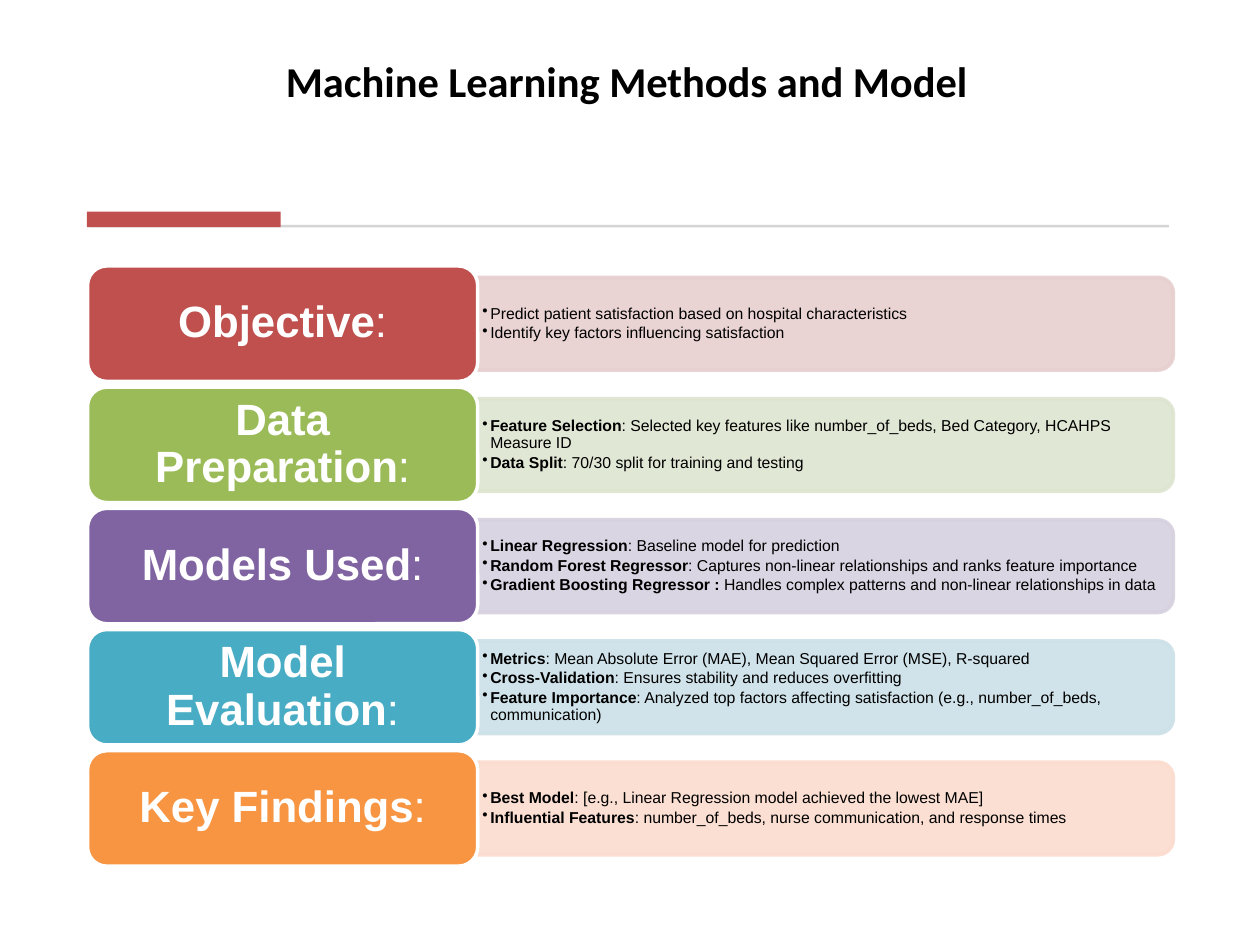
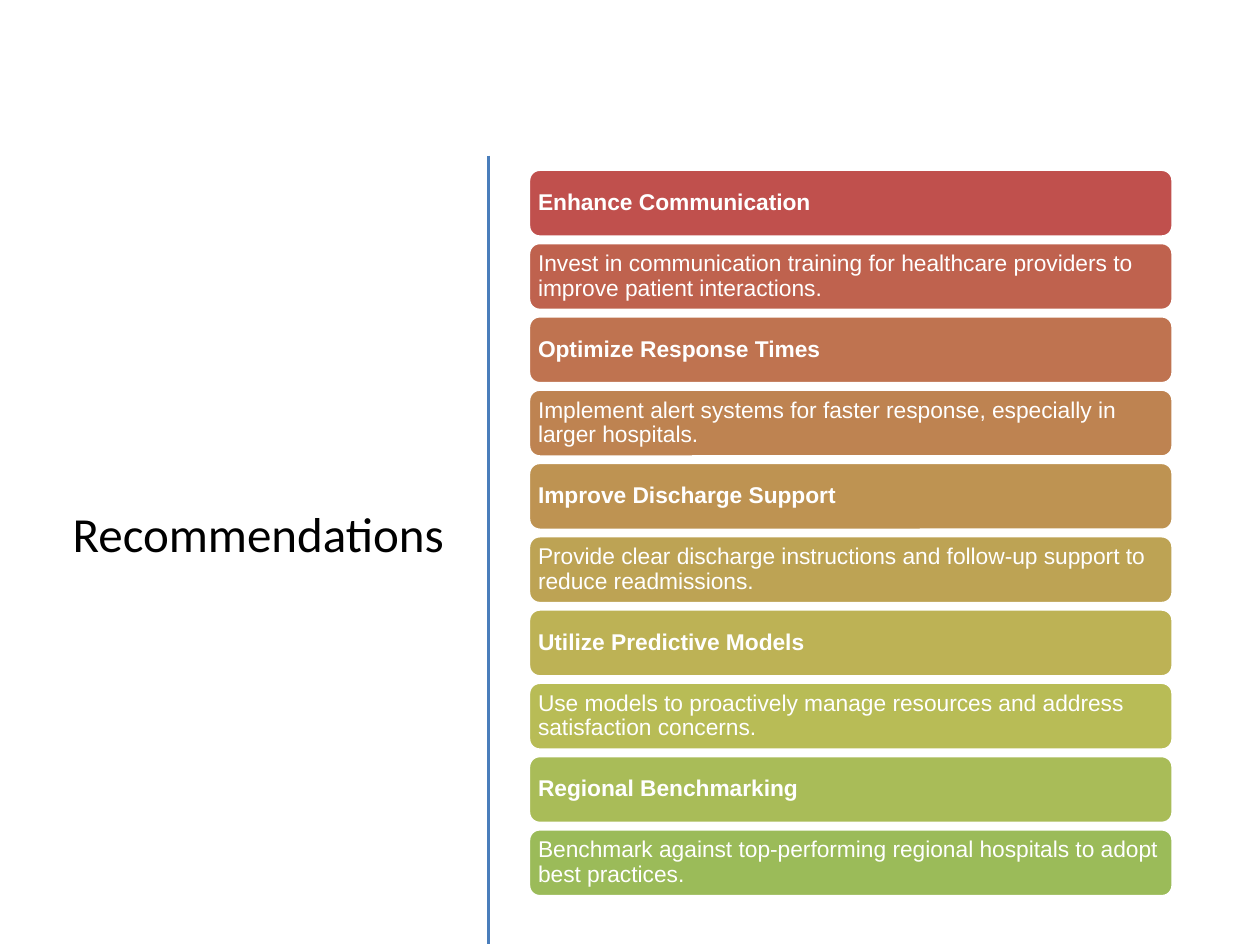
from pptx import Presentation
from pptx.dml.color import RGBColor
from pptx.enum.shapes import MSO_CONNECTOR, MSO_SHAPE
from pptx.enum.text import MSO_ANCHOR, PP_ALIGN
from pptx.oxml.ns import qn
from pptx.oxml.xmlchemy import OxmlElement
from pptx.util import Pt

BLACK, WHITE, RED = "000000", "FFFFFF", "C0504D"
RULE_GREY, DIVIDER_BLUE = "D5D5D5", "4A7EBB"
TITLE_FONT, BODY_FONT = "Calibri", "Arial"
TIGHT = 0.9
LINE_WIDTH = 2

# Label, tile colour, panel colour, points as (bold part, plain part)
METHODS = [
    ("Objective", "BF504D", "E7CFCF", [
        ("", "Predict patient satisfaction based on hospital characteristics"),
        ("", "Identify key factors influencing satisfaction"),
    ]),
    ("Data Preparation", "9BBB59", "DDE5D0", [
        ("Feature Selection", ": Selected key features like number_of_beds, Bed Category, HCAHPS Measure ID"),
        ("Data Split", ": 70/30 split for training and testing"),
    ]),
    ("Models Used", "8064A2", "D7D1DF", [
        ("Linear Regression", ": Baseline model for prediction"),
        ("Random Forest Regressor", ": Captures non-linear relationships and ranks feature importance"),
        ("Gradient Boosting Regressor : ", "Handles complex patterns and non-linear relationships in data"),
    ]),
    ("Model Evaluation", "49ACC5", "CDE1E8", [
        ("Metrics", ": Mean Absolute Error (MAE), Mean Squared Error (MSE), R-squared"),
        ("Cross-Validation", ": Ensures stability and reduces overfitting"),
        ("Feature Importance", ": Analyzed top factors affecting satisfaction (e.g., number_of_beds, communication)"),
    ]),
    ("Key Findings", "F79543", "FBDCCE", [
        ("Best Model", ": [e.g., Linear Regression model achieved the lowest MAE]"),
        ("Influential Features", ": number_of_beds, nurse communication, and response times"),
    ]),
]

# Heading, heading colour, advice, advice colour
RECOMMENDATIONS = [
    ("Enhance Communication", RED,
     "Invest in communication training for healthcare providers to improve patient interactions.", "BF624E"),
    ("Optimize Response Times", "BF7350",
     "Implement alert systems for faster response, especially in larger hospitals.", "BE8351"),
    ("Improve Discharge Support", "BE9352",
     "Provide clear discharge instructions and follow-up support to reduce readmissions.", "BDA354"),
    ("Utilize Predictive Models", "BDB255",
     "Use models to proactively manage resources and address satisfaction concerns.", "B8BC56"),
    ("Regional Benchmarking", "A9BC58",
     "Benchmark against top-performing regional hospitals to adopt best practices.", "9BBB59"),
]


def color(hex_string):
    return RGBColor.from_string(hex_string)


def add_run(paragraph, text, size, hex_string, bold=False, font=BODY_FONT):
    run = paragraph.add_run()
    run.text = text
    run.font.name = font
    run.font.size = Pt(size)
    run.font.bold = bold
    run.font.color.rgb = color(hex_string)


def set_frame(shape, horizontal, vertical):
    """Wrap and middle-anchor the text, with insets in points."""
    frame = shape.text_frame
    frame.word_wrap = True
    frame.vertical_anchor = MSO_ANCHOR.MIDDLE
    frame.margin_left = frame.margin_right = Pt(horizontal)
    frame.margin_top = frame.margin_bottom = Pt(vertical)
    return frame


def add_box(slide, kind, left, top, width, height, fill, line=None):
    shape = slide.shapes.add_shape(kind, Pt(left), Pt(top), Pt(width), Pt(height))
    shape.shadow.inherit = False
    shape.fill.solid()
    shape.fill.fore_color.rgb = color(fill)
    if line:
        shape.line.color.rgb = color(line)
        shape.line.width = Pt(LINE_WIDTH)
    else:
        shape.line.fill.background()
    return shape


def add_title(slide, text, left, top, width, height, size, bold, alignment):
    box = slide.shapes.add_textbox(Pt(left), Pt(top), Pt(width), Pt(height))
    paragraph = set_frame(box, 7.2, 3.6).paragraphs[0]
    paragraph.alignment = alignment
    add_run(paragraph, text, size, BLACK, bold, TITLE_FONT)


def add_tile(slide, left, top, width, height, fill, inset, alignment):
    """Add a white-edged rounded tile and return its first paragraph."""
    tile = add_box(slide, MSO_SHAPE.ROUNDED_RECTANGLE, left, top, width, height, fill, WHITE)
    paragraph = set_frame(tile, inset, 3.6).paragraphs[0]
    paragraph.alignment = alignment
    paragraph.line_spacing = TIGHT
    return paragraph


def add_panel(slide, left, top, width, height, fill):
    """Add a translucent panel rounded on its right side, by a quarter turn."""
    shift = (width - height) / 2
    panel = add_box(slide, MSO_SHAPE.ROUND_2_SAME_RECTANGLE,
                    left + shift, top - shift, height, width, fill, fill)
    panel.rotation = 90
    for tint in panel._element.spPr.iter(qn("a:srgbClr")):
        alpha = OxmlElement("a:alpha")
        alpha.set("val", "90000")
        tint.append(alpha)


def add_bullet(paragraph, indent):
    properties = paragraph._p.get_or_add_pPr()
    properties.set("marL", str(Pt(indent)))
    properties.set("indent", str(-Pt(indent)))
    bullet_color = OxmlElement("a:buClr")
    tint = OxmlElement("a:srgbClr")
    tint.set("val", BLACK)
    bullet_color.append(tint)
    bullet = OxmlElement("a:buChar")
    bullet.set("char", "•")
    properties.extend([bullet_color, bullet])


def add_points(slide, points, left, top, width, height):
    box = slide.shapes.add_textbox(Pt(left), Pt(top), Pt(width), Pt(height))
    frame = set_frame(box, 2.7, 1.35)
    for index, (lead, detail) in enumerate(points):
        paragraph = frame.add_paragraph() if index else frame.paragraphs[0]
        add_bullet(paragraph, 4.5)
        paragraph.line_spacing = TIGHT
        if index:
            paragraph.space_before = Pt(1.4)
        if lead:
            add_run(paragraph, lead, 9, BLACK, bold=True)
        add_run(paragraph, detail, 9, BLACK)


def add_divider(slide, x, top, bottom):
    line = slide.shapes.add_connector(MSO_CONNECTOR.STRAIGHT, Pt(x), Pt(top), Pt(x), Pt(bottom))
    line.line.color.rgb = color(DIVIDER_BLUE)
    line.line.width = Pt(LINE_WIDTH)
    line._element.spPr.append(OxmlElement("a:effectLst"))


def build_methods(slide):
    add_title(slide, "Machine Learning Methods and Model", 49.7, 20, 617, 52, 24.3, True, PP_ALIGN.CENTER)
    add_box(slide, MSO_SHAPE.RECTANGLE, 51, 128.5, 617, 1.5, RULE_GREY)
    add_box(slide, MSO_SHAPE.RECTANGLE, 49.7, 121, 110.7, 8.8, RED)

    left, top, pitch = 50, 152, 69.25
    tile_width, tile_height = 223, 66
    panel_left, panel_width, panel_height = left + tile_width, 397.5, 53
    for index, (label, tile_color, panel_color, points) in enumerate(METHODS):
        tile_top = top + index * pitch
        panel_top = tile_top + (tile_height - panel_height) / 2
        add_panel(slide, panel_left, panel_top, panel_width, panel_height, panel_color)
        add_points(slide, points, panel_left, panel_top + 2.6, panel_width - 2.6, panel_height - 5.2)
        heading = add_tile(slide, left, tile_top, tile_width, tile_height, tile_color, 7.2, PP_ALIGN.CENTER)
        add_run(heading, label, 25, WHITE, bold=True)
        add_run(heading, ":", 25, WHITE)


def build_recommendations(slide):
    add_title(slide, "Recommendations", 28, 84.5, 232.6, 440, 28, False, PP_ALIGN.RIGHT)
    add_divider(slide, 279.2, 89, 539.5)
    top, pitch = 96.7, 41.88
    for index, (heading, heading_color, advice, advice_color) in enumerate(RECOMMENDATIONS):
        rows = [(heading, heading_color, True), (advice, advice_color, False)]
        for offset, (text, fill, bold) in enumerate(rows):
            row_top = top + (2 * index + offset) * pitch
            paragraph = add_tile(slide, 302, row_top, 368.4, 38.8, fill, 3.6, PP_ALIGN.LEFT)
            add_run(paragraph, text, 13, WHITE, bold)


def main():
    presentation = Presentation()
    presentation.slide_width = Pt(720)
    presentation.slide_height = Pt(540)
    blank = presentation.slide_layouts[6]
    for build in (build_methods, build_recommendations):
        build(presentation.slides.add_slide(blank))
    presentation.save("out.pptx")


if __name__ == "__main__":
    main()
